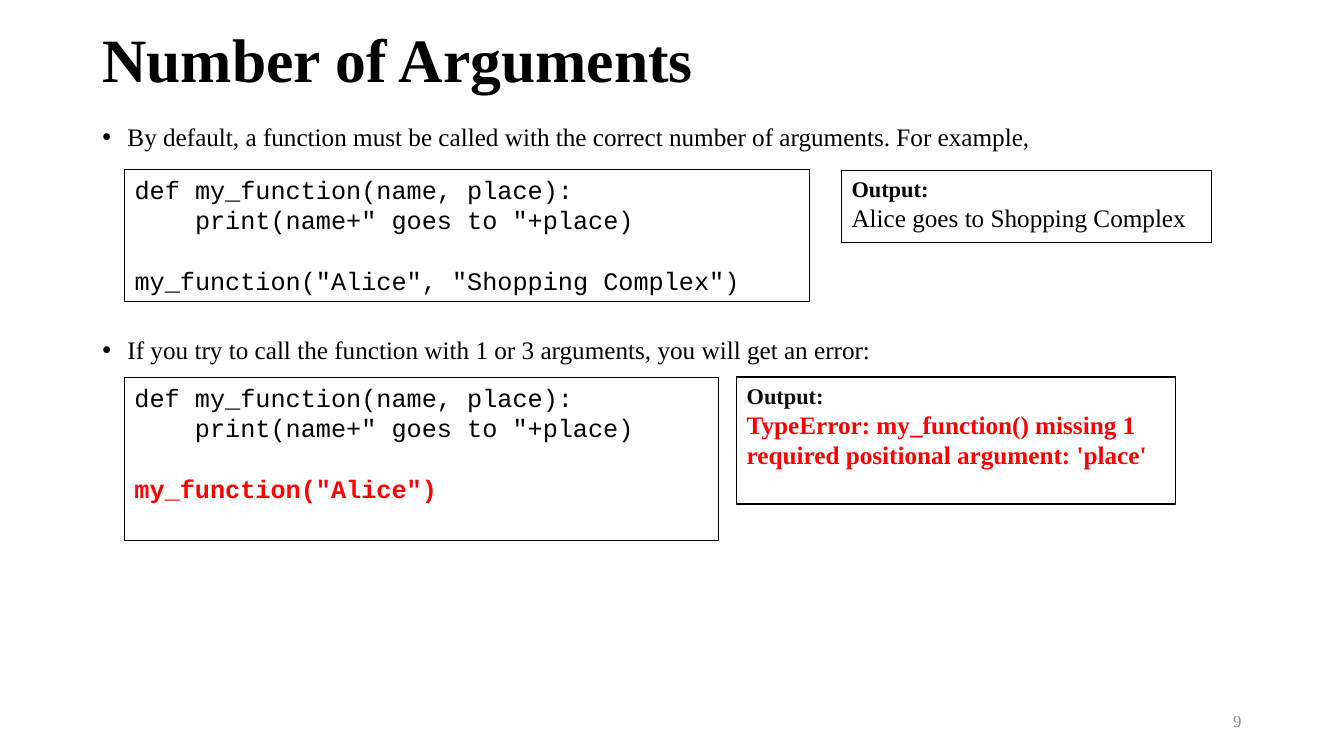
"""Build the slide on calling a function with the right number of arguments."""
import pptx
import pptx.util
import pptx.dml.color
import pptx.enum.shapes
import pptx.enum.text
import pptx.oxml
from pptx.oxml import ns

Pt = pptx.util.Pt
ALIGN = pptx.enum.text.PP_ALIGN
ANCHOR = pptx.enum.text.MSO_ANCHOR
SERIF, MONO = "Times New Roman", "Courier New"
BLACK, RED = "000000", "FF0000"


def color(hex_value):
    return pptx.dml.color.RGBColor.from_string(hex_value)


def write(holder, lines, font, anchor=ANCHOR.TOP):
    frame = holder.text_frame
    frame.word_wrap = True
    frame.vertical_anchor = anchor
    frame.text = "\n".join(text for text, *_ in lines)
    for paragraph, (_, size, bold, ink) in zip(frame.paragraphs, lines):
        paragraph.alignment = ALIGN.LEFT
        for run in paragraph.runs:
            run.font.name = font
            run.font.size = Pt(size)
            run.font.bold = bold
            run.font.color.rgb = color(ink)
    return frame.paragraphs


deck = pptx.Presentation()
deck.slide_width, deck.slide_height = Pt(960), Pt(540)
slide = deck.slides.add_slide(deck.slide_layouts[6])
shapes = slide.shapes

title = shapes.add_textbox(Pt(66), Pt(28.8), Pt(828), Pt(31.7))
heading = write(title, [("Number of Arguments", 44, True, BLACK)], SERIF, ANCHOR.MIDDLE)
heading[0].line_spacing = 0.9

body = shapes.add_textbox(Pt(66), Pt(85.7), Pt(828), Pt(401))
points = write(body, [
    ("By default, a function must be called with the correct number of arguments. For example, ", 18, False, BLACK),
    ("If you try to call the function with 1 or 3 arguments, you will get an error:", 18, False, BLACK),
], SERIF)
for point, gap in zip(points, (0, 132.8)):
    point.line_spacing = 0.9
    point.space_before = Pt(gap)
    properties = point._p.get_or_add_pPr()
    properties.set("marL", str(Pt(18)))
    properties.set("indent", str(Pt(-18)))
    properties.append(pptx.oxml.parse_xml(f'<a:buFont {ns.nsdecls("a")} typeface="Arial"/>'))
    properties.append(pptx.oxml.parse_xml(f'<a:buChar {ns.nsdecls("a")} char="•"/>'))

page_number = shapes.add_textbox(Pt(678), Pt(500.5), Pt(216), Pt(28.8))
write(page_number, [("9", 12, False, "8C8C8C")], SERIF, ANCHOR.MIDDLE)[0].alignment = ALIGN.RIGHT

definition = [
    ("def my_function(name, place):", 18, False, BLACK),
    ('    print(name+" goes to "+place)', 18, False, BLACK),
]
good_call = ('my_function("Alice", "Shopping Complex")', 18, False, BLACK)
bad_call = ('my_function("Alice")', 18, True, RED)
good_output = [("Output:", 16, True, BLACK), ("Alice goes to Shopping Complex", 18, False, BLACK)]
bad_output = [
    ("Output:", 16, True, "0D0D0D"),
    ("TypeError: my_function() missing 1 required positional argument: 'place'", 18, True, RED),
]

panels = [
    (601.2, 121.6, 264.2, 51.8, 1, SERIF, good_output),
    (526.3, 269.4, 313.4, 90.7, 1, SERIF, bad_output),
    (89, 121, 489, 94.3, 0.75, MONO, definition + [good_call]),
    (89, 269.4, 424, 116.6, 0.75, MONO, definition + [bad_call]),
]
for left, top, width, height, border, font, lines in panels:
    panel = shapes.add_shape(pptx.enum.shapes.MSO_SHAPE.RECTANGLE, Pt(left), Pt(top), Pt(width), Pt(height))
    panel.shadow.inherit = False
    panel.fill.background()
    panel.line.color.rgb = color(BLACK)
    panel.line.width = Pt(border)
    paragraphs = write(panel, lines, font)
    if font == MONO:
        paragraphs[-1].space_before = Pt(21.6)

deck.save("out.pptx")
